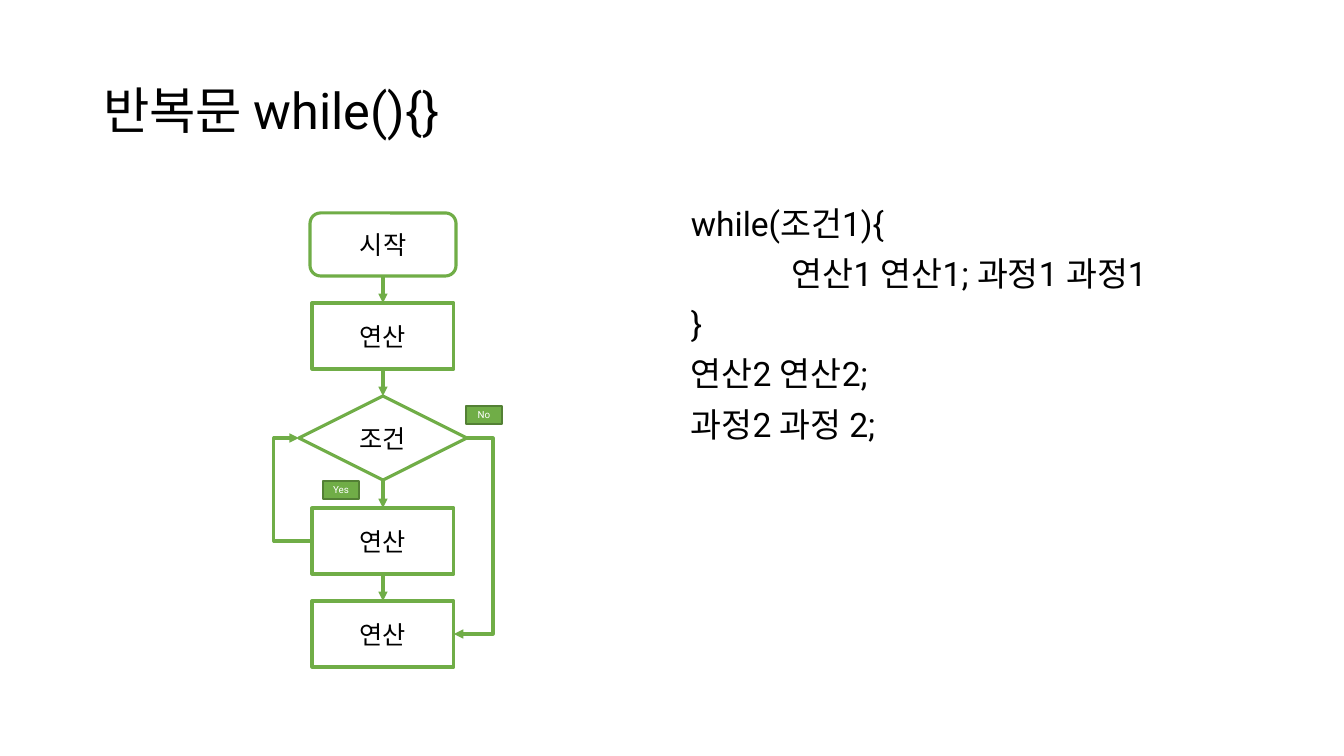
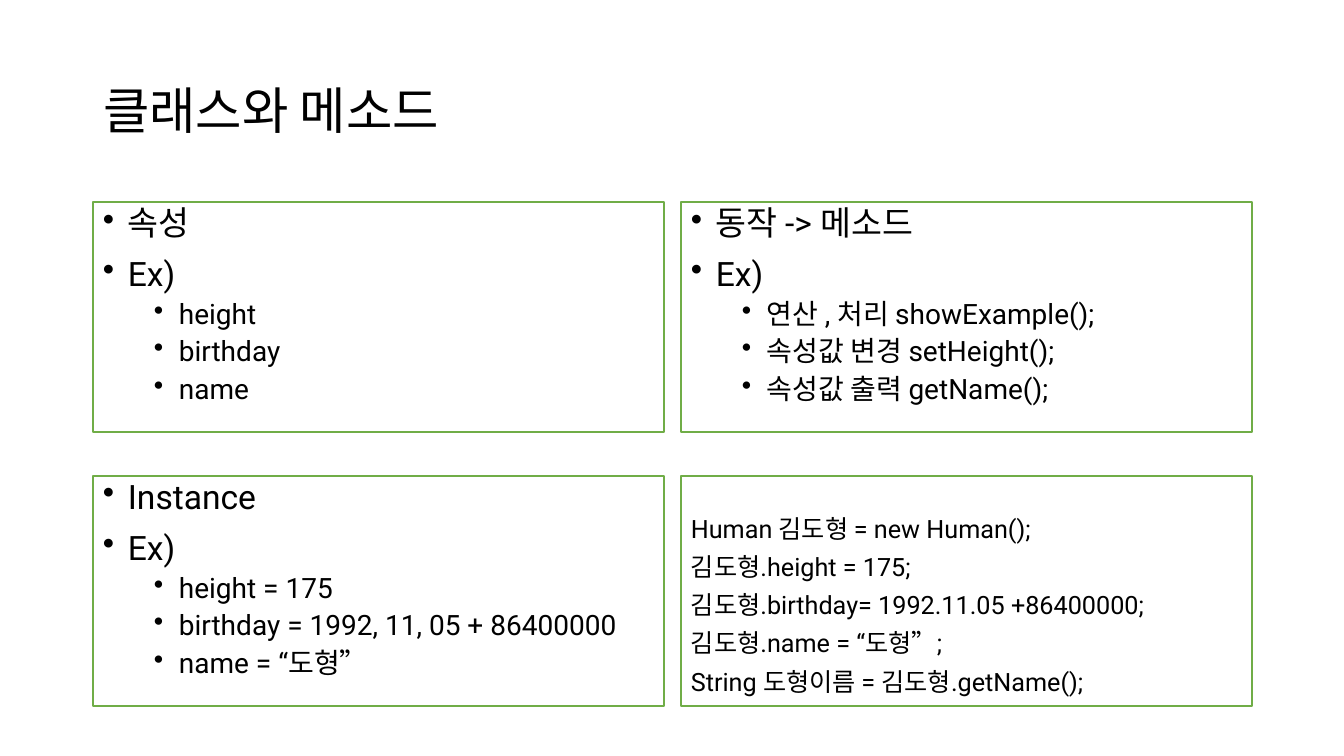
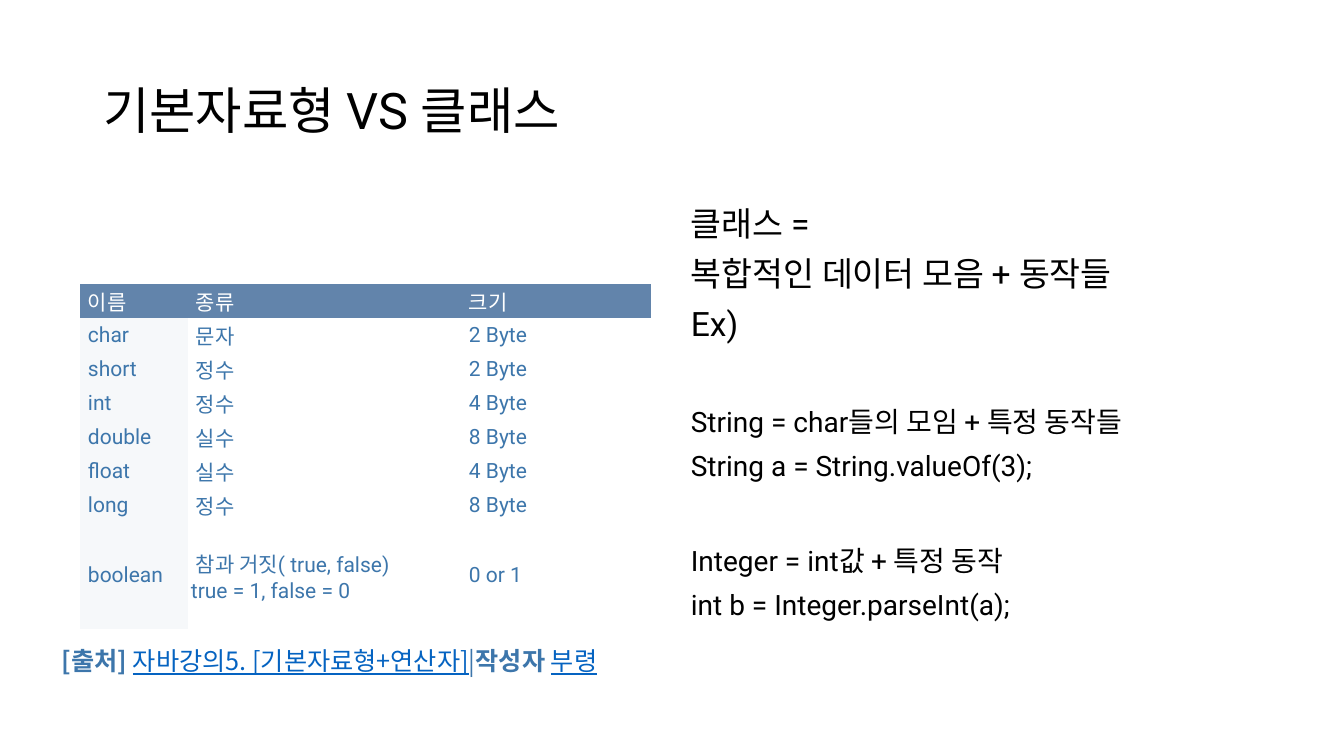
from itertools import pairwise

from pptx import Presentation
from pptx import util as u
from pptx.dml.color import RGBColor
from pptx.enum import shapes, text
from pptx.oxml.ns import qn

EMU_PER_PX = 914400 / 100.8
LATIN, KOREAN = "Roboto", "Noto Sans CJK KR"
BLACK, WHITE = "000000", "FFFFFF"
GREEN, DARK_GREEN = "70AD47", "538035"
STEEL, BLUE, PALE, LINK = "6284AB", "3D76AB", "F6F8FA", "0563C1"
NO_GRID_STYLE = "{2D5ABB26-0587-4C30-8999-92F81FD0307C}"

LEFT, RIGHT, TOP, HALF_WIDTH = 93, 681, 202, 571
PANEL_HEIGHT, PANEL_PITCH = 230, 274
TITLE_BOX = (LEFT, 40, 1159, 146)


def px(value):
    """Turn pixels into EMU."""
    return u.Emu(round(value * EMU_PER_PX))


def box(*values):
    """Turn a left, top, width, height box into EMU."""
    return [px(value) for value in values]


def color(hex_code):
    """Turn a hex string into a colour."""
    return RGBColor.from_string(hex_code)


def set_font(font, size, hex_code, name=LATIN):
    """Set size, colour, Latin face and Korean face of a font."""
    font.size, font.name = u.Pt(size), name
    font.color.rgb = color(hex_code)
    east_asian = font._element.makeelement(qn("a:ea"), {"typeface": KOREAN})
    font._element.find(qn("a:latin")).addnext(east_asian)


def indent(paragraph, left, first=0):
    """Set the left margin and first-line indent of a paragraph."""
    properties = paragraph._p.get_or_add_pPr()
    properties.set("marL", str(px(left)))
    properties.set("indent", str(px(first)))


def bullet(paragraph, left):
    """Hang a round bullet in front of a paragraph."""
    indent(paragraph, left, -25)
    properties = paragraph._p.get_or_add_pPr()
    mark = properties.makeelement(qn("a:buChar"), {"char": "•"})
    properties.insert_element_before(mark, "a:tabLst", "a:defRPr", "a:extLst")


def write_line(frame, index, words, size, before=10, spacing=0.9):
    """Write one left-aligned line of body text and return its paragraph."""
    paragraph = frame.add_paragraph() if index else frame.paragraphs[0]
    paragraph.text = words
    paragraph.alignment = text.PP_ALIGN.LEFT
    paragraph.line_spacing, paragraph.space_before = spacing, u.Pt(before)
    set_font(paragraph.font, size, BLACK)
    return paragraph


def add_slide(deck, title):
    """Add a slide with the shared title style."""
    slide = deck.slides.add_slide(deck.slide_layouts[5])
    heading = slide.shapes.title
    heading.left, heading.top, heading.width, heading.height = box(*TITLE_BOX)
    frame = heading.text_frame
    frame.auto_size = text.MSO_AUTO_SIZE.NONE
    frame.vertical_anchor = text.MSO_ANCHOR.MIDDLE
    write_line(frame, 0, title, 36, before=0)
    return slide


def add_body(slide):
    """Add the right-hand text column and return its frame."""
    frame = slide.shapes.add_textbox(*box(RIGHT, TOP, HALF_WIDTH, 480)).text_frame
    frame.word_wrap = True
    return frame


def add_block(slide, kind, area, fill, outline, weight):
    """Add a filled, outlined shape without shadow."""
    block = slide.shapes.add_shape(kind, *box(*area))
    block.shadow.inherit = False
    block.fill.solid()
    block.fill.fore_color.rgb = color(fill)
    block.line.color.rgb = color(outline)
    block.line.width = u.Pt(weight)
    return block


def add_label(block, words, size, hex_code):
    """Centre a label in a block."""
    frame = block.text_frame
    frame.vertical_anchor = text.MSO_ANCHOR.MIDDLE
    paragraph = frame.paragraphs[0]
    paragraph.text, paragraph.alignment = words, text.PP_ALIGN.CENTER
    set_font(paragraph.font, size, hex_code)


def add_arrow(slide, start, end, bend_x=None):
    """Draw an arrow, straight or turning twice at bend_x."""
    kind = shapes.MSO_CONNECTOR.STRAIGHT if bend_x is None else shapes.MSO_CONNECTOR.ELBOW
    arrow = slide.shapes.add_connector(kind, *box(*start, *end))
    arrow.line.color.rgb = color(GREEN)
    arrow.line.width = u.Pt(2.25)
    line = arrow.line._get_or_add_ln()
    line.append(line.makeelement(qn("a:tailEnd"), {"type": "triangle"}))
    properties = arrow._element.spPr
    properties.append(properties.makeelement(qn("a:effectLst"), {}))
    if bend_x is not None:
        share = round((bend_x - start[0]) / (end[0] - start[0]) * 100000)
        guides = properties.find(qn("a:prstGeom")).get_or_add_avLst()
        guides.append(guides.makeelement(
            qn("a:gd"), {"name": "adj1", "fmla": f"val {share}"}))


def add_flowchart(slide):
    """Draw the loop as steps on one axis, joined by arrows."""
    axis = 383
    rectangle = shapes.MSO_SHAPE.RECTANGLE
    steps = [  # kind, label, width, top, height
        (shapes.MSO_SHAPE.FLOWCHART_ALTERNATE_PROCESS, "시작", 146, 213, 63),
        (rectangle, "연산", 142, 303, 66),
        (shapes.MSO_SHAPE.DIAMOND, "조건", 168, 396, 84),
        (rectangle, "연산", 142, 508, 66),
        (rectangle, "연산", 142, 601, 66),
    ]
    for kind, words, width, top, height in steps:
        area = (axis - width / 2, top, width, height)
        add_label(add_block(slide, kind, area, WHITE, GREEN, 2.25), words, 18, BLACK)
    for (*_, top, height), (*_, next_top, _) in pairwise(steps):
        add_arrow(slide, (axis, top + height), (axis, next_top))

    def side(step, direction):
        """Give the middle of a step's left (-1) or right (1) side."""
        _, _, width, top, height = step
        return axis + direction * width / 2, top + height / 2

    condition, repeated, after = steps[2:]
    add_arrow(slide, side(condition, 1), side(after, 1), bend_x=493)
    add_arrow(slide, side(repeated, -1), side(condition, -1), bend_x=274)
    for words, left, top in (("Yes", 323, 481), ("No", 466, 406)):
        tag = add_block(slide, rectangle, (left, top, 36, 18), GREEN, DARK_GREEN, 1)
        add_label(tag, words, 7, WHITE)


def add_panel(slide, column, row):
    """Add one outlined panel of the two-by-two grid and return its frame."""
    area = ((LEFT, RIGHT)[column], TOP + row * PANEL_PITCH, HALF_WIDTH, PANEL_HEIGHT)
    panel = add_block(slide, shapes.MSO_SHAPE.RECTANGLE, area, WHITE, GREEN, 1)
    panel.text_frame.vertical_anchor = text.MSO_ANCHOR.TOP
    return panel.text_frame


def add_bullet_panel(slide, column, row, heading, examples):
    """Fill a panel with a heading and a list of examples."""
    frame = add_panel(slide, column, row)
    for index, words in enumerate([heading, "Ex)", *examples]):
        size, before, left = (24, 10, 25) if index < 2 else (20, 5, 76)
        bullet(write_line(frame, index, words, size, before), left)


def add_type_table(slide, rows):
    """Add the table of primitive types."""
    widths, heights = (108, 273, 190), [34] * 7 + [107]
    area = box(80, 284, sum(widths), sum(heights))
    table = slide.shapes.add_table(len(rows), len(widths), *area).table
    table.first_row = table.horz_banding = False
    table._tbl.tblPr.find(qn("a:tableStyleId")).text = NO_GRID_STYLE
    for column, width in zip(table.columns, widths):
        column.width = px(width)
    for r, (row, height) in enumerate(zip(rows, heights)):
        table.rows[r].height = px(height)
        for c, words in enumerate(row):
            cell = table.cell(r, c)
            cell.fill.solid()
            cell.fill.fore_color.rgb = color(STEEL if r == 0 else WHITE if c else PALE)
            cell.vertical_anchor = text.MSO_ANCHOR.MIDDLE
            cell.margin_left = cell.margin_right = px(3)
            cell.margin_top, cell.margin_bottom = px(2), px(1)
            cell.text = words
            for paragraph in cell.text_frame.paragraphs:
                set_font(paragraph.font, 15, BLUE if r else WHITE)
            indent(cell.text_frame.paragraphs[0], 5)


def add_citation(slide):
    """Add the source line below the table."""
    frame = slide.shapes.add_textbox(*box(52, 640, 629, 40)).text_frame
    frame.word_wrap = False
    paragraph = frame.paragraphs[0]
    parts = [  # words, colour, bold, underlined
        ("[출처]\u00a0", BLUE, True, False),
        ("자바강의5. [기본자료형+연산자]", LINK, False, True),
        ("|", BLUE, False, False),
        ("작성자\u00a0", BLUE, True, False),
        ("부령", LINK, False, True),
    ]
    for words, hex_code, bold, underlined in parts:
        run = paragraph.add_run()
        run.text = words
        set_font(run.font, 18, hex_code, KOREAN)
        run.font.bold, run.font.underline = bold, underlined


def build_while(deck):
    """Build the slide on the while loop."""
    slide = add_slide(deck, "반복문 while(){}")
    frame = add_body(slide)
    code = ["while(조건1){", "연산1 연산1; 과정1 과정1", "}",
            "연산2 연산2;", "과정2 과정 2;"]
    lines = [write_line(frame, index, words, 24) for index, words in enumerate(code)]
    indent(lines[1], 101)
    add_flowchart(slide)


def build_classes(deck):
    """Build the slide on classes and methods."""
    slide = add_slide(deck, "클래스와 메소드")
    add_bullet_panel(slide, 0, 0, "속성", ["height", "birthday", "name"])
    add_bullet_panel(slide, 1, 0, "동작 -> 메소드", [
        "연산 , 처리 showExample();", "속성값 변경 setHeight();",
        "속성값 출력 getName();"])
    add_bullet_panel(slide, 0, 1, "Instance", [
        "height = 175", "birthday = 1992, 11, 05 + 86400000", "name = “도형”"])
    frame = add_panel(slide, 1, 1)
    frame.margin_top = px(43)
    code = ["Human 김도형 = new Human();", "김도형.height = 175;",
            "김도형.birthday= 1992.11.05 +86400000;", "김도형.name = “도형”;",
            "String 도형이름 = 김도형.getName();"]
    for index, words in enumerate(code):
        write_line(frame, index, words, 18, spacing=0.8)


def build_types(deck):
    """Build the slide comparing primitive types with classes."""
    slide = add_slide(deck, "기본자료형 VS 클래스")
    add_type_table(slide, [
        ("이름", "종류", "크기"),
        ("char", "문자", "2 Byte"),
        ("short", "정수", "2 Byte"),
        ("int", "정수", "4 Byte"),
        ("double", "실수", "8 Byte"),
        ("float", "실수", "4 Byte"),
        ("long", "정수", "8 Byte"),
        ("boolean", "참과 거짓( true, false)\ntrue = 1, false = 0", "0 or 1"),
    ])
    frame = add_body(slide)
    explanation = [  # words, size, space before
        ("클래스 =", 24, 10),
        ("복합적인 데이터 모음 + 동작들", 24, 10),
        ("Ex)", 24, 10),
        ("String = char들의 모임 + 특정 동작들", 20, 46),
        ("String a = String.valueOf(3);", 20, 10),
        ("Integer = int값 + 특정 동작", 20, 46),
        ("int b = Integer.parseInt(a);", 20, 10),
    ]
    for index, (words, size, before) in enumerate(explanation):
        write_line(frame, index, words, size, before)
    add_citation(slide)


def main():
    """Build the deck and save it."""
    deck = Presentation()
    deck.slide_width, deck.slide_height = px(1344), px(756)
    build_while(deck)
    build_classes(deck)
    build_types(deck)
    deck.save("out.pptx")


main()
